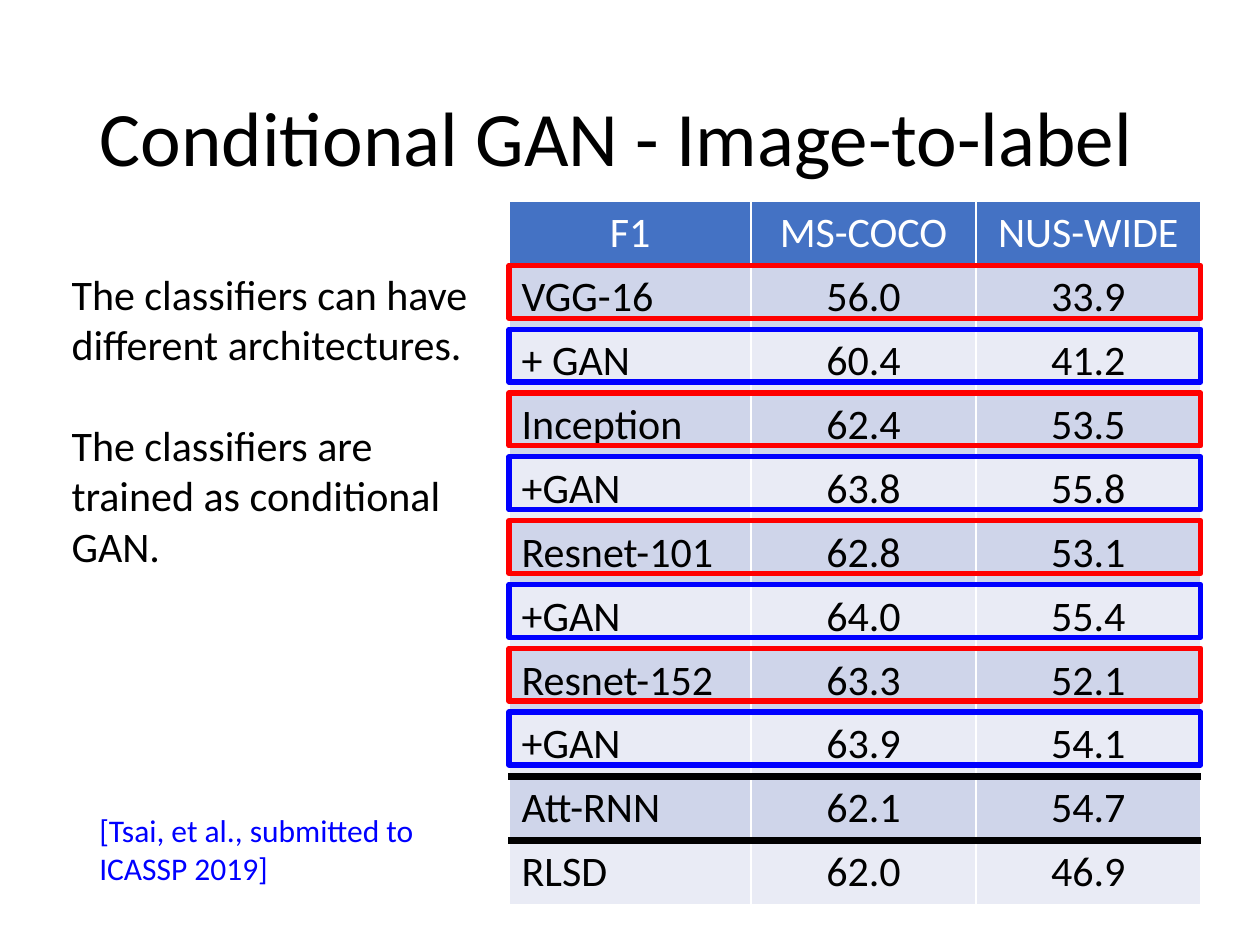
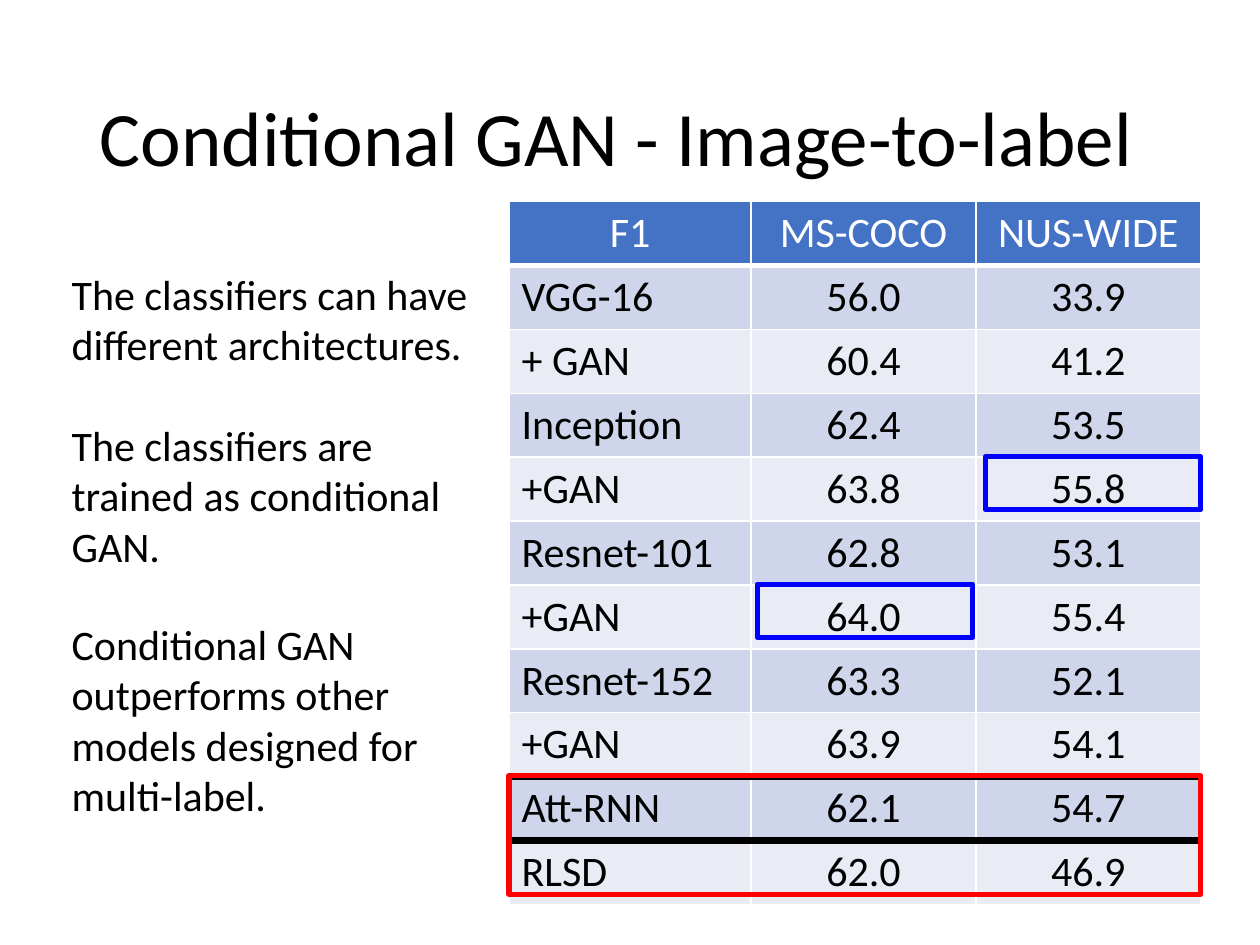
"""Build two slides on conditional GAN results for image-to-label classifiers."""
from lxml import etree
from pptx import Presentation
from pptx.dml.color import RGBColor
from pptx.enum.shapes import MSO_SHAPE
from pptx.enum.text import MSO_ANCHOR, MSO_AUTO_SIZE, PP_ALIGN
from pptx.oxml.ns import qn
from pptx.util import Inches, Pt

RECTANGLE = MSO_SHAPE.RECTANGLE
MIDDLE = MSO_ANCHOR.MIDDLE
NO_AUTOFIT = MSO_AUTO_SIZE.NONE
LEFT, CENTER = PP_ALIGN.LEFT, PP_ALIGN.CENTER

COLORS = {
    "text": "000000", "white": "FFFFFF", "header": "4472C4",
    "odd_row": "CFD5EA", "even_row": "E9EBF5",
    "baseline": "FF0000", "gan": "0000FF", "rule": "000000",
}
FONT = "Calibri"
BODY_SIZE = 24
GRID_COLUMNS, GRID_ROWS = 100, 75
SLIDE_WIDTH, SLIDE_HEIGHT = Inches(10), Inches(7.5)
TITLE_ONLY_LAYOUT = 5

TITLE = "Conditional GAN - Image-to-label"
TITLE_BOX = (6.9, 4, 86.2, 14.5)
TABLE_BOX = (40.4, 16, 54.9, 55.7)
COLUMN_SHARES = (0.35, 0.325, 0.325)
SCORES = (
    ("F1", "MS-COCO", "NUS-WIDE"),
    ("VGG-16", "56.0", "33.9"),
    ("+ GAN", "60.4", "41.2"),
    ("Inception", "62.4", "53.5"),
    ("+GAN", "63.8", "55.8"),
    ("Resnet-101", "62.8", "53.1"),
    ("+GAN", "64.0", "55.4"),
    ("Resnet-152", "63.3", "52.1"),
    ("+GAN", "63.9", "54.1"),
    ("Att-RNN", "62.1", "54.7"),
    ("RLSD", "62.0", "46.9"),
)
HEAVY_RULES_ABOVE = (9, 10)
STATEMENTS = (
    ("The classifiers can have different architectures.", (4.7, 20.8, 33.7, 9.1)),
    ("The classifiers are trained as conditional GAN.", (4.7, 32.8, 33.7, 13.1)),
    ("Conditional GAN outperforms other models designed for multi-label.",
     (4.7, 48.6, 33.7, 17.2)),
)
CITATION = "[Tsai, et al., submitted to ICASSP 2019]"
CITATION_BOX = (6.9, 63.9, 27.7, 7.1)
FRAME_HEIGHT = 4.2
BEST_SCORE_WIDTH = 17.1


def place(box):
    """Convert a box in grid units to slide lengths."""
    column, row, width, height = box
    column_unit, row_unit = SLIDE_WIDTH / GRID_COLUMNS, SLIDE_HEIGHT / GRID_ROWS
    return (int(column * column_unit), int(row * row_unit),
            int(width * column_unit), int(height * row_unit))


def color(name):
    """Look up a named colour."""
    return RGBColor.from_string(COLORS[name])


def format_text(text_frame, size, color_name, alignment=LEFT):
    """Style every run in a text frame."""
    for paragraph in text_frame.paragraphs:
        paragraph.alignment = alignment
        for run in paragraph.runs:
            run.font.name = FONT
            run.font.size = Pt(size)
            run.font.bold = False
            run.font.color.rgb = color(color_name)


def add_title(slide, box):
    """Fill and position the title placeholder."""
    title = slide.shapes.title
    title.left, title.top, title.width, title.height = place(box)
    text_frame = title.text_frame
    text_frame.text = TITLE
    text_frame.auto_size = NO_AUTOFIT
    text_frame.vertical_anchor = MIDDLE
    text_frame.paragraphs[0].line_spacing = 0.9
    format_text(text_frame, 44, "text")


def add_note(slide, text, box, size=BODY_SIZE, color_name="text"):
    """Add a wrapped text box."""
    text_frame = slide.shapes.add_textbox(*place(box)).text_frame
    text_frame.word_wrap = True
    text_frame.text = text
    format_text(text_frame, size, color_name)


def set_border(cell, side, color_name, width):
    """Draw one edge of a table cell."""
    properties = cell._tc.get_or_add_tcPr()
    line = etree.SubElement(properties, qn(f"a:ln{side}"), w=str(Pt(width)))
    fill = etree.SubElement(line, qn("a:solidFill"))
    etree.SubElement(fill, qn("a:srgbClr"), val=COLORS[color_name])


def style_cell(cell, row, column):
    """Apply borders, banding and text style to a score cell."""
    thin, heavy = ("white", 1), ("rule", 4.5)
    top = heavy if row in HEAVY_RULES_ABOVE else thin
    bottom = heavy if row + 1 in HEAVY_RULES_ABOVE else thin
    if row == 0:
        bottom = ("white", 3)
    for side, border in (("L", thin), ("R", thin), ("T", top), ("B", bottom)):
        set_border(cell, side, *border)
    band = "header" if row == 0 else "odd_row" if row % 2 else "even_row"
    cell.fill.solid()
    cell.fill.fore_color.rgb = color(band)
    format_text(cell.text_frame, BODY_SIZE, "text" if row else "white",
                LEFT if row and column == 0 else CENTER)


def add_score_table(slide, box):
    """Add the table of F1 scores."""
    left, top, width, height = place(box)
    table = slide.shapes.add_table(
        len(SCORES), len(COLUMN_SHARES), left, top, width, height).table
    for column, share in zip(table.columns, COLUMN_SHARES):
        column.width = int(width * share)
    for row, values in enumerate(SCORES):
        for column, value in enumerate(values):
            cell = table.cell(row, column)
            cell.text = value
            style_cell(cell, row, column)


def add_frame(slide, row, color_name, left=TABLE_BOX[0], width=TABLE_BOX[2],
              height=FRAME_HEIGHT):
    """Outline part of a table row, starting at the row's top edge."""
    top = TABLE_BOX[1] + row * TABLE_BOX[3] / len(SCORES)
    frame = slide.shapes.add_shape(RECTANGLE, *place((left, top, width, height)))
    frame.shadow.inherit = False
    frame.fill.background()
    frame.line.color.rgb = color(color_name)
    frame.line.width = Pt(3)


def add_results_slide(presentation, statements):
    """Add a slide with the title, score table and statements."""
    slide = presentation.slides.add_slide(
        presentation.slide_layouts[TITLE_ONLY_LAYOUT])
    add_title(slide, TITLE_BOX)
    add_score_table(slide, TABLE_BOX)
    for text, box in statements:
        add_note(slide, text, box)
    return slide


def add_architecture_slide(presentation):
    """Pair each classifier with its GAN-trained version."""
    slide = add_results_slide(presentation, STATEMENTS[:2])
    for row in range(1, 9):
        add_frame(slide, row, "baseline" if row % 2 else "gan")
    add_note(slide, CITATION, CITATION_BOX, 18, "gan")


def add_comparison_slide(presentation):
    """Mark the best scores against the multi-label models."""
    slide = add_results_slide(presentation, STATEMENTS)
    add_frame(slide, 6, "gan", 60.1, BEST_SCORE_WIDTH)
    add_frame(slide, 4, "gan", 78.2, BEST_SCORE_WIDTH)
    add_frame(slide, 9, "baseline", height=9.4)


def main():
    """Build and save the presentation."""
    presentation = Presentation()
    presentation.slide_width, presentation.slide_height = SLIDE_WIDTH, SLIDE_HEIGHT
    add_architecture_slide(presentation)
    add_comparison_slide(presentation)
    presentation.save("out.pptx")


if __name__ == "__main__":
    main()
